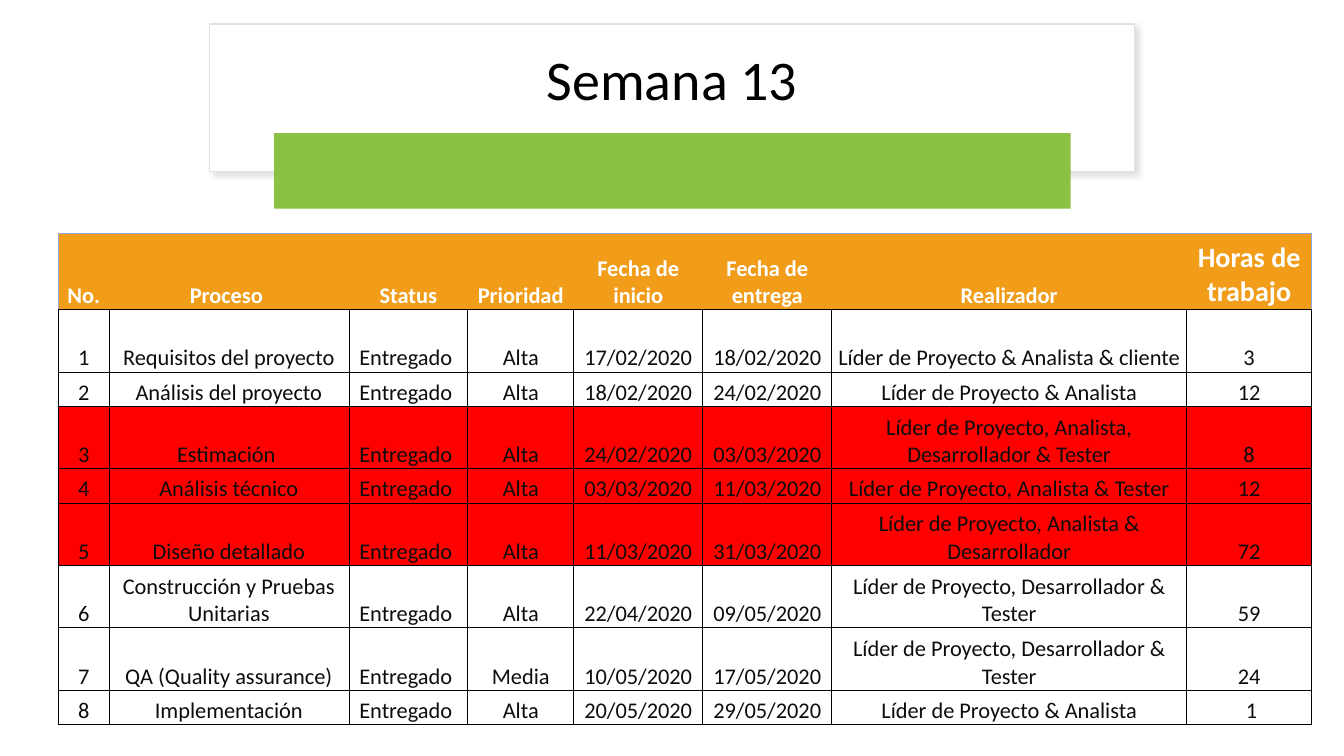
import pptx
import pptx.util
import pptx.dml.color
import pptx.enum.shapes
import pptx.enum.text
import pptx.oxml
import pptx.oxml.ns

Inches = pptx.util.Inches
Shape = pptx.enum.shapes.MSO_SHAPE
Center = pptx.enum.text.PP_ALIGN.CENTER
Anchor = pptx.enum.text.MSO_ANCHOR
DRAW = 'xmlns:a="http://schemas.openxmlformats.org/drawingml/2006/main"'

COLORS = {
    "white": "FFFFFF", "black": "000000", "ink": "0D0D0D", "frame": "E1E1E1",
    "shade": "C5C3C3", "green": "8BC145", "orange": "F19D19",
    "red": "FF0000", "blue": "8EA9DB",
}

HEADS = ["No.", "Proceso ", "Status", "Prioridad", "Fecha de inicio",
         "Fecha de entrega", "Realizador", "Horas de trabajo"]
TASKS = [
    ["1", "Requisitos del proyecto", "Entregado ", "Alta", "17/02/2020", "18/02/2020",
     "Líder de Proyecto & Analista & cliente", "3"],
    ["2", "Análisis del proyecto", "Entregado ", "Alta", "18/02/2020", "24/02/2020",
     "Líder de Proyecto & Analista", "12"],
    ["3", "Estimación ", "Entregado ", "Alta", "24/02/2020", "03/03/2020",
     "Líder de Proyecto, Analista, Desarrollador & Tester", "8"],
    ["4", "Análisis técnico", "Entregado ", "Alta", "03/03/2020", "11/03/2020",
     "Líder de Proyecto, Analista & Tester", "12"],
    ["5", "Diseño detallado", "Entregado ", "Alta", "11/03/2020", "31/03/2020",
     "Líder de Proyecto, Analista & Desarrollador", "72"],
    ["6", "Construcción y Pruebas Unitarias", "Entregado ", "Alta", "22/04/2020", "09/05/2020",
     "Líder de Proyecto, Desarrollador & Tester", "59"],
    ["7", "QA (Quality assurance)", "Entregado ", "Media", "10/05/2020", "17/05/2020",
     "Líder de Proyecto, Desarrollador & Tester", "24"],
    ["8", "Implementación", "Entregado ", "Alta", "20/05/2020", "29/05/2020",
     "Líder de Proyecto & Analista", " 1"],
]
LATE = {"3", "4", "5"}
WIDTHS = [0.5, 2.38, 1.18, 1.05, 1.28, 1.28, 3.52, 1.24]
HEIGHTS = [0.76, 0.62, 0.34, 0.62, 0.34, 0.62, 0.62, 0.62, 0.34]


def apply(target, values):
    for name, value in values.items():
        setattr(target, name, value)


def color(name):
    return pptx.dml.color.RGBColor.from_string(COLORS[name])


class Board:
    face = "Calibri"

    def __init__(self, slide):
        self.slide = slide

    def text(self, frame, words, size, tint, bold=False, **layout):
        para = frame.paragraphs[0]
        apply(para, {"alignment": Center, **layout})
        run = para.add_run()
        run.text = words
        apply(run.font, {"name": self.face, "size": pptx.util.Pt(size), "bold": bold})
        run.font.color.rgb = color(tint)

    def block(self, kind, place, fill, line=None):
        shape = self.slide.shapes.add_shape(kind, *map(Inches, place))
        shape.shadow.inherit = False
        shape.fill.solid()
        shape.fill.fore_color.rgb = color(fill)
        if line:
            shape.line.color.rgb = color(line)
            shape.line.width = pptx.util.Pt(1)
        else:
            shape.line.fill.background()
        return shape

    def shade(self, shape):
        effects = shape.element.spPr.find(pptx.oxml.ns.qn("a:effectLst"))
        effects.append(pptx.oxml.parse_xml(
            f'<a:outerShdw {DRAW} blurRad="50800" dist="38100" dir="2700000" '
            f'algn="tl" rotWithShape="0"><a:srgbClr val="{COLORS["shade"]}">'
            '<a:alpha val="50000"/></a:srgbClr></a:outerShdw>'))

    def label(self, place, words, size, tint, **layout):
        frame = self.slide.shapes.add_textbox(*map(Inches, place)).text_frame
        apply(frame, {"word_wrap": True, "vertical_anchor": Anchor.MIDDLE})
        self.text(frame, words, size, tint, **layout)

    def edge(self, cell, sides):
        props = cell._tc.get_or_add_tcPr()
        for side in "LRTB":
            tint = sides.get(side)
            paint = (f'<a:solidFill><a:srgbClr val="{COLORS[tint]}"/></a:solidFill>'
                     if tint else "<a:noFill/>")
            props.append(pptx.oxml.parse_xml(
                f'<a:ln{side} {DRAW} w="6350">{paint}</a:ln{side}>'))

    def cell(self, cell, words, size, tint, fill, sides, bold):
        apply(cell, {"vertical_anchor": Anchor.BOTTOM, "margin_left": Inches(0.01),
                     "margin_right": Inches(0.01), "margin_top": Inches(0.01),
                     "margin_bottom": 0})
        self.edge(cell, sides)
        cell.fill.solid()
        cell.fill.fore_color.rgb = color(fill)
        self.text(cell.text_frame, words, size, tint, bold)

    def table(self, place, heads, tasks):
        last = len(heads) - 1
        table = self.slide.shapes.add_table(
            len(tasks) + 1, len(heads), *map(Inches, place)).table
        apply(table, {"first_row": False, "horz_banding": False})
        for col, width in zip(table.columns, WIDTHS):
            col.width = Inches(width)
        for row, height in zip(table.rows, HEIGHTS):
            row.height = Inches(height)
        for c, words in enumerate(heads):
            sides = {"T": "blue", "B": "black"}
            if c == 0:
                sides["L"] = "blue"
            if c == last:
                sides["R"] = "blue"
            self.cell(table.cell(0, c), words, 20 if c == last else 16,
                      "white", "orange", sides, True)
        for r, task in enumerate(tasks, 1):
            fill = "red" if task[0] in LATE else "white"
            for c, words in enumerate(task):
                self.cell(table.cell(r, c), words, 16, "ink", fill,
                          dict.fromkeys("LRTB", "black"), False)


def main():
    deck = pptx.Presentation()
    apply(deck, {"slide_width": Inches(13.33), "slide_height": Inches(7.5)})
    board = Board(deck.slides.add_slide(deck.slide_layouts[6]))
    panel = board.block(Shape.RECTANGLE, (2.08, 0.24, 9.17, 1.46), "white", "frame")
    board.shade(panel)
    board.label((2.3, 0.34, 8.73, 0.95), "Semana 13", 40, "black",
                line_spacing=0.9, space_after=pptx.util.Pt(6))
    band = board.block(Shape.ROUNDED_RECTANGLE, (2.72, 1.32, 7.9, 0.75), "green")
    band.adjustments[0] = 0
    board.table((0.58, 2.31, 12.43, 4.85), HEADS, TASKS)
    deck.save("out.pptx")


if __name__ == "__main__":
    main()
